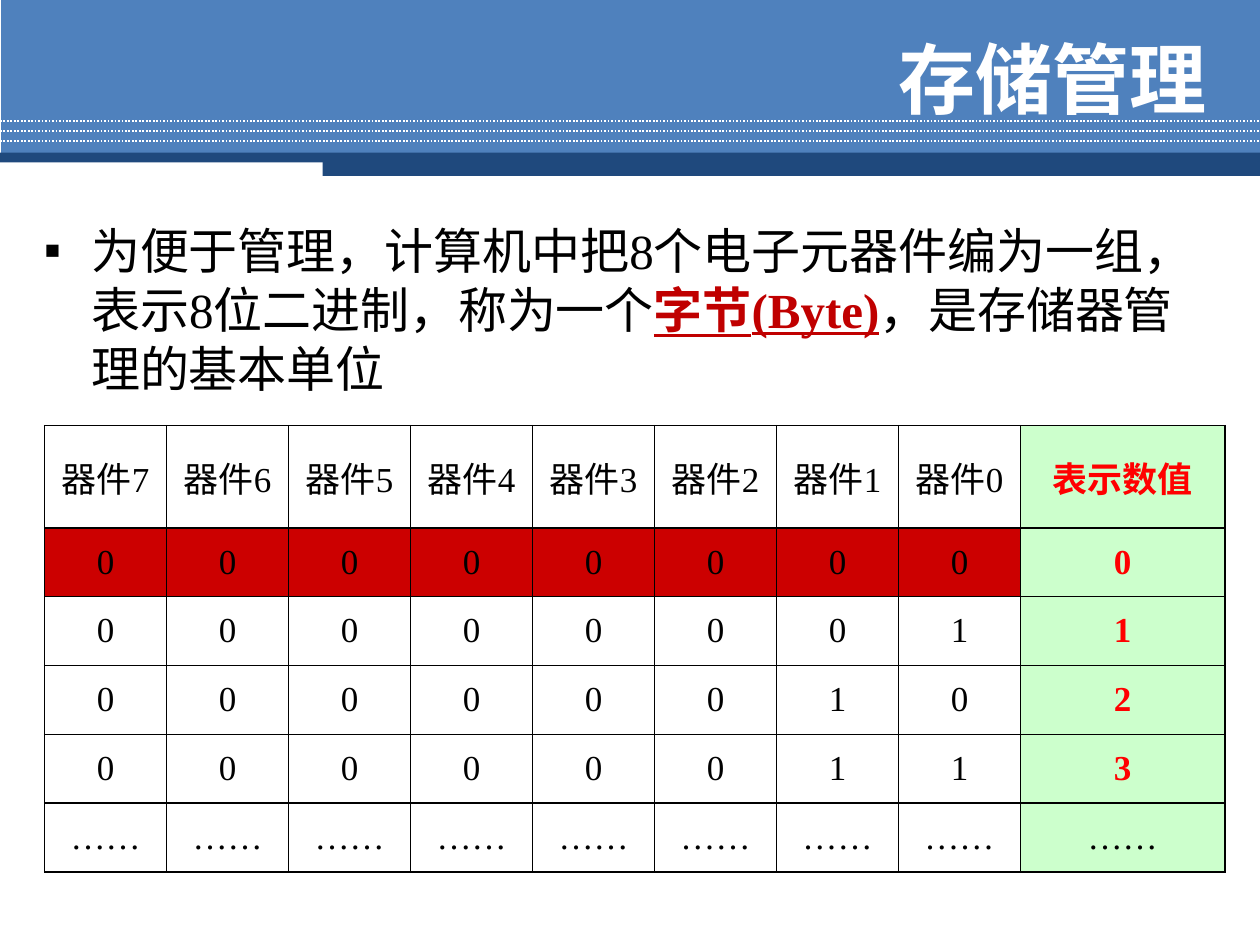
from dataclasses import dataclass

from lxml.etree import SubElement
from pptx import Presentation
from pptx.dml.color import RGBColor
from pptx.enum.dml import MSO_LINE
from pptx.enum.shapes import MSO_CONNECTOR as CONN, MSO_SHAPE as SHAPE
from pptx.enum.text import MSO_ANCHOR as ANCHOR, MSO_AUTO_SIZE as AUTO, PP_ALIGN as ALIGN
from pptx.oxml import parse_xml
from pptx.oxml.ns import nsdecls, qn
from pptx.util import Pt


@dataclass(frozen=True)
class Theme:
    font: str = "Times New Roman"
    banner: str = "4F81BD"
    navy: str = "1F497D"
    white: str = "FFFFFF"
    black: str = "000000"
    term: str = "C00000"
    value: str = "FF0000"
    value_fill: str = "CCFFCC"
    zero_fill: str = "CC0000"
    title_size: int = 44
    body_size: int = 28
    cell_size: int = 20


def set_all(obj, values):
    for name, value in values.items():
        setattr(obj, name, value)


class Deck:
    def __init__(self, theme):
        self.theme = theme
        self.prs = Presentation()
        set_all(self.prs, {"slide_width": Pt(720), "slide_height": Pt(540)})
        self.s = self.prs.slides.add_slide(self.prs.slide_layouts[5])

    def run(self, p, text, size, color, **font):
        r = p.add_run()
        r.text = text
        set_all(r.font, {"name": self.theme.font, "size": Pt(size), **font})
        r.font.color.rgb = RGBColor.from_string(color)

    def bar(self, x, y, w, h, color):
        sp = self.s.shapes.add_shape(SHAPE.RECTANGLE, Pt(x), Pt(y), Pt(w), Pt(h))
        sp.shadow.inherit = False
        sp.fill.solid()
        sp.fill.fore_color.rgb = RGBColor.from_string(color)
        sp.line.fill.background()

    def dotted_line(self, y):
        line = self.s.shapes.add_connector(CONN.STRAIGHT, 0, Pt(y), Pt(720), Pt(y))
        set_all(line.line, {"width": Pt(1), "dash_style": MSO_LINE.ROUND_DOT})
        line.line.color.rgb = RGBColor.from_string(self.theme.white)
        SubElement(line._element.spPr, qn("a:effectLst"))

    def title(self, text, x, y, w, h):
        sp = self.s.shapes.title
        set_all(sp, {"left": Pt(x), "top": Pt(y), "width": Pt(w), "height": Pt(h)})
        tf = sp.text_frame
        set_all(tf, {"vertical_anchor": ANCHOR.MIDDLE, "auto_size": AUTO.NONE})
        p = tf.paragraphs[0]
        p.alignment = ALIGN.RIGHT
        self.run(p, text, self.theme.title_size, self.theme.white, bold=True)
        self.s.shapes._spTree.append(sp._element)

    def bullet(self, parts, x, y, w, h):
        tf = self.s.shapes.add_textbox(Pt(x), Pt(y), Pt(w), Pt(h)).text_frame
        tf.word_wrap = True
        p = tf.paragraphs[0]
        p.space_before = Pt(5.6)
        pPr = p._p.get_or_add_pPr()
        pPr.set("marL", str(Pt(27)))
        pPr.set("indent", str(Pt(-27)))
        SubElement(pPr, qn("a:buFont")).set("typeface", "Arial")
        SubElement(pPr, qn("a:buChar")).set("char", "▪")
        for text, color, font in parts:
            self.run(p, text, self.theme.body_size, color, **font)

    def borders(self, cell):
        tcPr = cell._tc.get_or_add_tcPr()
        for i, side in enumerate("LRTB"):
            tcPr.insert(i, parse_xml(
                f'<a:ln{side} {nsdecls("a")} w="{Pt(1)}"><a:solidFill>'
                f'<a:srgbClr val="{self.theme.black}"/></a:solidFill></a:ln{side}>'))

    def cell(self, cell, text, color, fill, bold):
        set_all(cell, {"vertical_anchor": ANCHOR.MIDDLE,
                       "margin_left": Pt(7.2), "margin_right": Pt(7.2),
                       "margin_top": Pt(3.6), "margin_bottom": Pt(3.6)})
        if fill:
            cell.fill.solid()
            cell.fill.fore_color.rgb = RGBColor.from_string(fill)
        else:
            cell.fill.background()
        self.borders(cell)
        p = cell.text_frame.paragraphs[0]
        p.alignment = ALIGN.CENTER
        self.run(p, text, self.theme.cell_size, color, bold=bold)

    def byte_table(self, rows, x, y, widths, heights):
        t = self.theme
        table = self.s.shapes.add_table(len(rows), len(widths), Pt(x), Pt(y),
                                        Pt(sum(widths)), Pt(sum(heights))).table
        set_all(table, {"first_row": False, "horz_banding": False})
        for col, w in zip(table.columns, widths):
            col.width = Pt(w)
        for row, h in zip(table.rows, heights):
            row.height = Pt(h)
        for i, row in enumerate(rows):
            for j, text in enumerate(row):
                is_value = j == len(row) - 1
                fill = t.value_fill if is_value else t.zero_fill if i == 1 else None
                color = t.value if is_value and text != "……" else t.black
                self.cell(table.cell(i, j), text, color, fill, color == t.value)


def main():
    t = Theme()
    deck = Deck(t)
    deck.bar(0.72, 0, 719.28, 88.5, t.banner)
    for i in range(3):
        deck.dotted_line(69.2 + 5.75 * i)
    deck.bar(0, 87.2, 720, 5.6, t.navy)
    deck.bar(184.4, 89.2, 535.6, 11.4, t.navy)
    deck.bullet([
        ("为便于管理，计算机中把8个电子元器件编为一组，表示8位二进制，称为一个", t.black, {}),
        ("字节(Byte)", t.term, {"bold": True, "underline": True}),
        ("，是存储器管理的基本单位", t.black, {}),
    ], 18, 122.4, 684, 105)
    rows = [[f"器件{i}" for i in range(7, -1, -1)] + ["表示数值"]]
    rows += [[*f"{n:08b}", str(n)] for n in range(4)]
    rows.append(["……"] * 9)
    deck.byte_table(rows, 25.5, 243.2, [69.72] * 8 + [116.8], [58.4] + [39.35] * 5)
    deck.title("存储管理", 235.4, 15.1, 461.5, 58.3)
    deck.prs.save("out.pptx")


if __name__ == "__main__":
    main()
